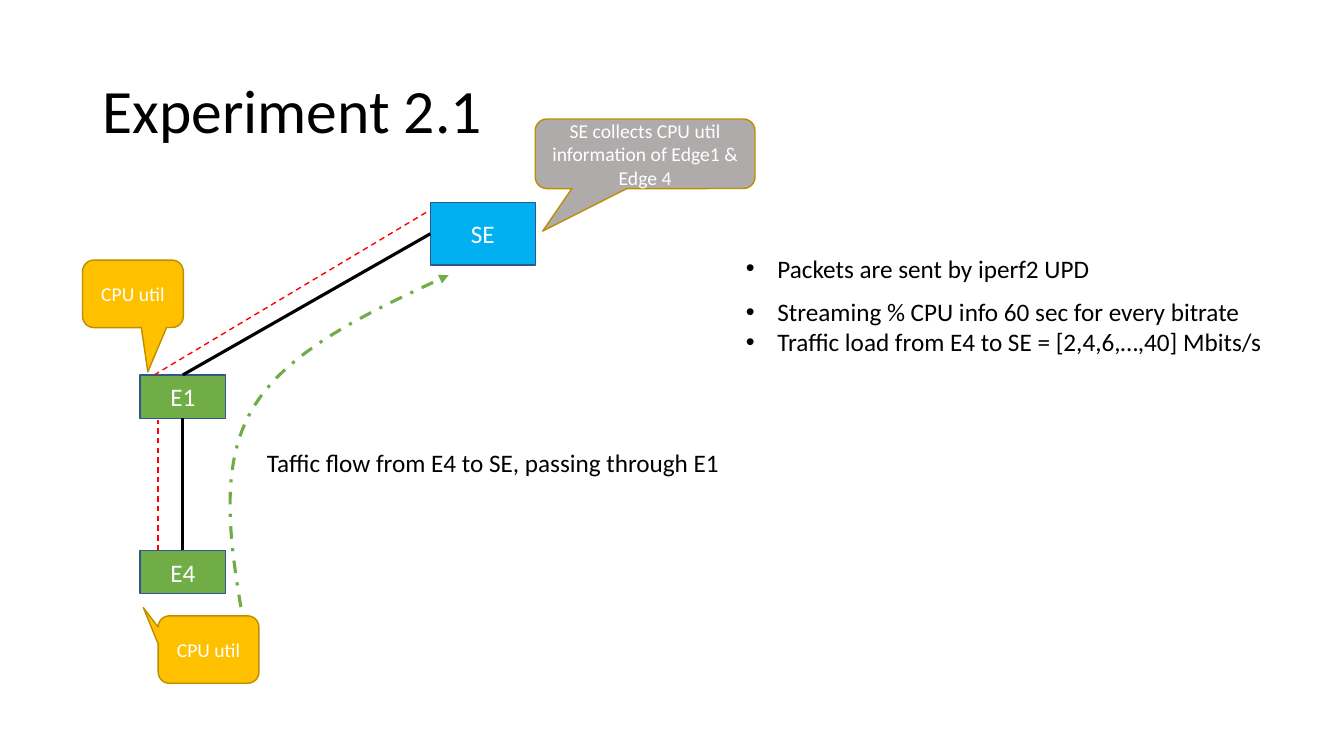
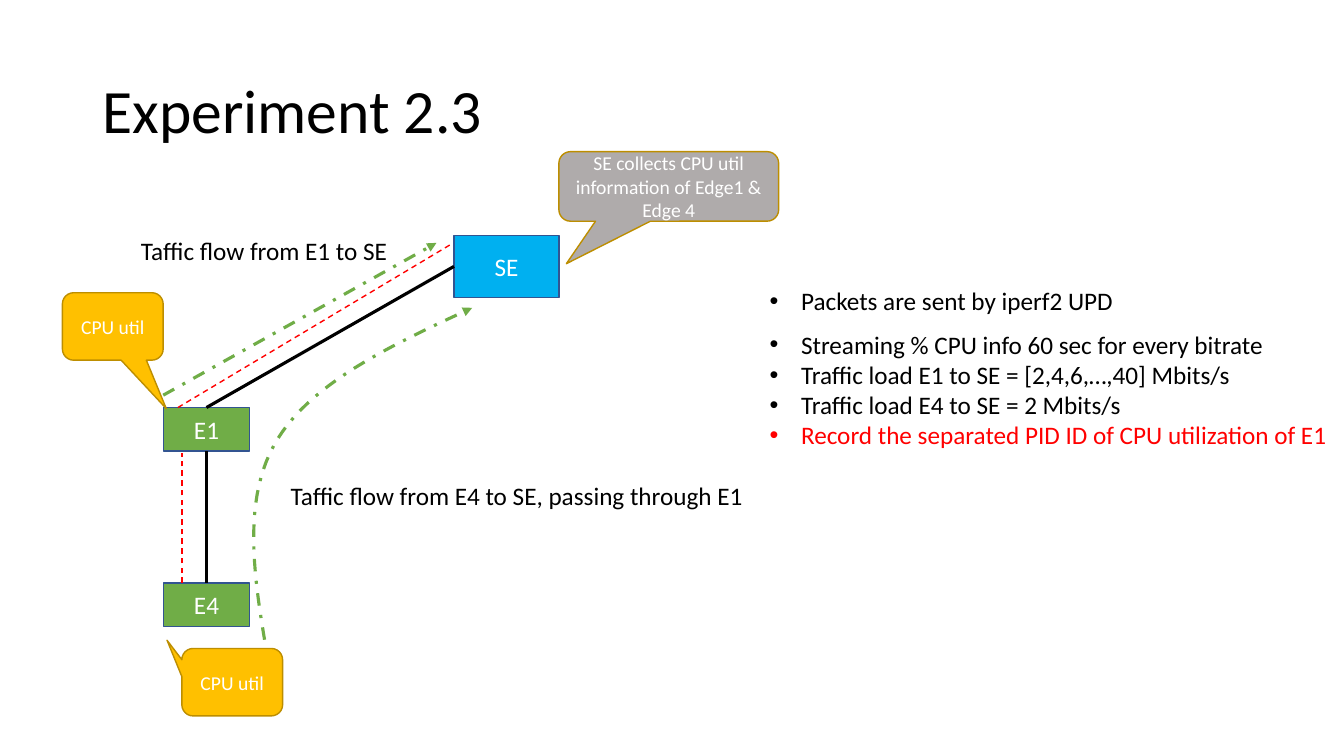
from lxml import etree
from pptx import Presentation
from pptx.dml.color import RGBColor
from pptx.enum import dml, shapes, text
from pptx.oxml import ns
from pptx.util import Pt

FONT = "Calibri"
COLORS = {"ink": "000000", "white": "FFFFFF", "server": "00B0F0", "edge": "70AD47",
          "node_line": "325491", "note": "AFABAB", "util": "FFC000",
          "note_line": "BD8E00", "red": "FF0000"}

# Diagram in points, before each slide's offset
NODES = {"SE": (307.4, 144.7, 75, 44.6, "server"),
         "E1": (100, 267.8, 61.2, 31, "edge"),
         "E4": (100, 393.1, 61.2, 31, "edge")}
LINKS = [("E1", 0, "SE", 1), ("E4", 0, "E1", 2)]
REPORTS = [((110.2, 267.8), (305.3, 151.2)), ((113, 393.1), (113, 300.2))]
FLOW = [((176.4, 457.9), (165.6, 398.2), (154.8, 338.4), (178.6, 295.2)),
        ((178.6, 295.2), (202.3, 251.3), (261.4, 223.9), (320.4, 196.6))]
FLOW_LABEL = ("Taffic flow from E4 to SE, passing through E1", (183.6, 316.1, 342, 28.8))
CALLOUTS = [("SE collects CPU util information of Edge1 & Edge 4",
             (382.3, 85, 157, 49.7), (-0.466, 1.111), "note"),
            ("CPU util", (113, 439.9, 72, 48.2), (-0.647, -0.622), "util")]
E1_CALLOUT_TOP = 185.8
LIST_LEFT, LIST_TOP = 525.6, 177.1
LINE_HEIGHT, FIRST_GAP, INSETS = 21.6, 9.4, 7.2

SLIDES = [
    {"title": "Experiment 2.1", "offset": (0, 0), "list_width": 387.4,
     "e1_callout": (59, (0.148, 1.157)),
     "bullets": [("Packets are sent by iperf2 UPD", "ink"),
                 ("Streaming % CPU info 60 sec for every bitrate", "ink"),
                 ("Traffic load from E4 to SE = [2,4,6,…,40] Mbits/s", "ink")]},
    {"title": "Experiment 2.3", "offset": (16.9, 23.3), "list_width": 417.6,
     "e1_callout": (27.7, (0.531, 1.218)),
     "bullets": [("Packets are sent by iperf2 UPD", "ink"),
                 ("Streaming % CPU info 60 sec for every bitrate", "ink"),
                 ("Traffic load E1 to SE = [2,4,6,…,40] Mbits/s", "ink"),
                 ("Traffic load E4 to SE = 2 Mbits/s", "ink"),
                 ("Record the separated PID ID of CPU utilization of E1", "red")],
     "e1_flow": ((99.7, 259), (294.9, 150.2)),
     "e1_label": ("Taffic flow from E1 to SE", (76.7, 141.6, 193, 28.8))},
]


def rgb(name):
    """Look up a palette colour."""
    return RGBColor.from_string(COLORS[name])


def move(box, offset):
    """Shift a box or point by the slide's offset, as lengths."""
    shifted = [a + d for a, d in zip(box, offset)]
    return [Pt(v) for v in shifted + list(box[2:])]


def place(sp, box):
    """Set the position and size of a placeholder."""
    sp.left, sp.top, sp.width, sp.height = [Pt(v) for v in box]


def add_run(p, words, size, color):
    """Add one formatted run to a paragraph."""
    r = p.add_run()
    r.text = words
    r.font.name, r.font.size = FONT, Pt(size)
    r.font.color.rgb = rgb(color)


def style_line(sp, color, width, dash=None, arrow=False):
    """Set outline colour, width, dash and arrowhead."""
    sp.line.color.rgb = rgb(color)
    sp.line.width = Pt(width)
    if dash:
        sp.line.dash_style = dash
    if arrow:
        ln = sp.line._get_or_add_ln()
        etree.SubElement(ln, ns.qn("a:tailEnd")).set("type", "triangle")


def add_box(s, kind, box, words, size, fill, outline):
    """Add a filled preset shape with centred white text."""
    sp = s.shapes.add_shape(kind, *box)
    sp.shadow.inherit = False
    sp.fill.solid()
    sp.fill.fore_color.rgb = rgb(fill)
    style_line(sp, outline, 1)
    tf = sp.text_frame
    tf.word_wrap = True
    tf.vertical_anchor = text.MSO_ANCHOR.MIDDLE
    tf.paragraphs[0].alignment = text.PP_ALIGN.CENTER
    add_run(tf.paragraphs[0], words, size, "white")
    return sp


def add_callout(s, offset, words, box, tip, fill):
    """Add a rounded callout pointing at its tip."""
    sp = add_box(s, shapes.MSO_SHAPE.ROUNDED_RECTANGULAR_CALLOUT,
                 move(box, offset), words, 14, fill, "note_line")
    for i, value in enumerate(tip):
        sp.adjustments[i] = value


def add_line(s, start, end, *style):
    """Add a straight connector without shadow."""
    sp = s.shapes.add_connector(shapes.MSO_CONNECTOR.STRAIGHT, *start, *end)
    style_line(sp, *style)
    etree.SubElement(sp._element.spPr, ns.qn("a:effectLst"))
    return sp


def add_flow(s, offset, steps=24):
    """Draw the curved traffic arrow from E4 to SE."""
    points = [FLOW[0][0]]
    for a, b, c, d in FLOW:
        for i in range(1, steps + 1):
            t = i / steps
            k = ((1 - t) ** 3, 3 * t * (1 - t) ** 2, 3 * t * t * (1 - t), t ** 3)
            points.append([sum(w * v for w, v in zip(k, axis)) for axis in zip(a, b, c, d)])
    points = [move(point, offset) for point in points]
    builder = s.shapes.build_freeform(*points[0])
    builder.add_line_segments(points[1:], close=False)
    sp = builder.convert_to_shape()
    sp.shadow.inherit = False
    sp.fill.background()
    style_line(sp, "edge", 2.25, dml.MSO_LINE.DASH_DOT, True)


def add_label(s, offset, words, box):
    """Add an unwrapped text label."""
    tf = s.shapes.add_textbox(*move(box, offset)).text_frame
    tf.word_wrap = False
    tf.auto_size = text.MSO_AUTO_SIZE.SHAPE_TO_FIT_TEXT
    add_run(tf.paragraphs[0], words, 18, "ink")


def add_title(s, words):
    """Fill the title placeholder."""
    tf = s.shapes.title.text_frame
    tf.vertical_anchor = text.MSO_ANCHOR.MIDDLE
    p = tf.paragraphs[0]
    p.alignment, p.line_spacing = text.PP_ALIGN.LEFT, 0.9
    add_run(p, words, 44, "ink")


def add_list(s, offset, width, bullets):
    """Fill the body placeholder with the bullet list."""
    body = s.placeholders[1]
    height = LINE_HEIGHT * len(bullets) + FIRST_GAP + INSETS
    place(body, (LIST_LEFT + offset[0], LIST_TOP + offset[1], width, height))
    tf = body.text_frame
    tf.word_wrap = False
    tf.auto_size = text.MSO_AUTO_SIZE.SHAPE_TO_FIT_TEXT
    for i, (words, color) in enumerate(bullets):
        p = tf.paragraphs[0] if i == 0 else tf.add_paragraph()
        p.space_before = Pt(0)
        p.space_after = Pt(0 if i else FIRST_GAP)
        pPr = p._p.get_or_add_pPr()
        pPr.set("marL", str(Pt(22.5)))
        pPr.set("indent", str(-Pt(22.5)))
        etree.SubElement(pPr, ns.qn("a:buFont")).set("typeface", "Arial")
        etree.SubElement(pPr, ns.qn("a:buChar")).set("char", "•")
        add_run(p, words, 18, color)


def build_slide(prs, data):
    """Build one experiment slide."""
    s = prs.slides.add_slide(prs.slide_layouts[1])
    offset = data["offset"]
    add_title(s, data["title"])
    nodes = {name: add_box(s, shapes.MSO_SHAPE.RECTANGLE, move(box, offset),
                           name, 18, fill, "node_line")
             for name, (*box, fill) in NODES.items()}
    for start, start_site, end, end_site in LINKS:
        link = add_line(s, (0, 0), (0, 0), "ink", 2.25)
        link.begin_connect(nodes[start], start_site)
        link.end_connect(nodes[end], end_site)
    for start, end in REPORTS:
        add_line(s, move(start, offset), move(end, offset), "red", 1, dml.MSO_LINE.DASH)
    add_flow(s, offset)
    add_label(s, offset, *FLOW_LABEL)
    left, tip = data["e1_callout"]
    e1_callout = ("CPU util", (left, E1_CALLOUT_TOP, 72, 48.2), tip, "util")
    for callout in CALLOUTS + [e1_callout]:
        add_callout(s, offset, *callout)
    add_list(s, offset, data["list_width"], data["bullets"])
    if "e1_flow" in data:
        start, end = data["e1_flow"]
        add_line(s, move(start, offset), move(end, offset),
                 "edge", 2.25, dml.MSO_LINE.DASH_DOT, True)
        add_label(s, offset, *data["e1_label"])


prs = Presentation()
prs.slide_width, prs.slide_height = Pt(960), Pt(540)
place(prs.slide_layouts[1].placeholders[0], (66, 28.8, 828, 104.4))
for data in SLIDES:
    build_slide(prs, data)
prs.save("out.pptx")
